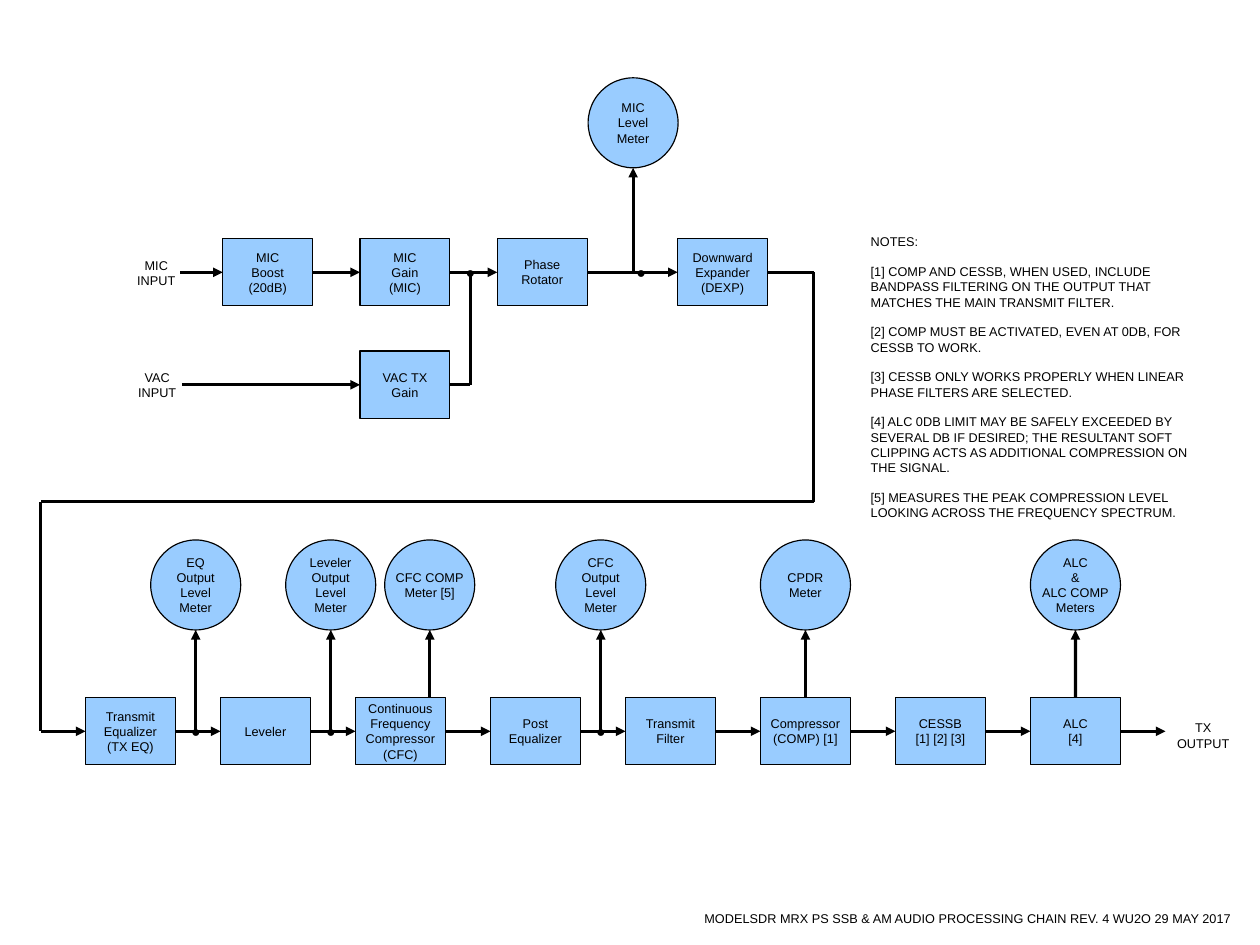
from dataclasses import dataclass
from itertools import pairwise

from lxml import etree
from pptx import Presentation
from pptx import util as u
from pptx.dml import color
from pptx.enum import shapes, text
from pptx.oxml import ns
from pptx.shapes import autoshape
from pptx.slide import Slide

BLUE = color.RGBColor(0x99, 0xCC, 0xFF)
BLACK = color.RGBColor(0x00, 0x00, 0x00)
FONT = "Arial"
BOX_WIDTH, BOX_HEIGHT, METER_SIZE = 2, 1.5, 2
MIC_TOP, VAC_TOP, CHAIN_TOP = 5.3, 7.8, 15.5
MIC_Y, VAC_Y, CHAIN_Y = (top + BOX_HEIGHT / 2 for top in (MIC_TOP, VAC_TOP, CHAIN_TOP))
CHAIN_LEFT, CHAIN_STEP = 1.9, 3
METER_TOP = 12
METER_BOTTOM = METER_TOP + METER_SIZE
MIC_METER_X, MIC_METER_TOP = 14.07, 1.73
MERGE_X = 10.45
RETURN_RIGHT, RETURN_Y, RETURN_LEFT = 18.08, 11.15, 0.9
TOP, LEFT, RIGHT = 0, 1, 3


@dataclass(frozen=True)
class Stage:
    words: str
    left: float
    top: float
    tight: bool = False


@dataclass(frozen=True)
class Meter:
    words: str
    x: float
    top: float = METER_TOP


@dataclass(frozen=True)
class Label:
    words: str
    left: float
    top: float
    width: float
    height: float


@dataclass(frozen=True)
class Point:
    x: float
    y: float


@dataclass(frozen=True)
class Joint:
    box: autoshape.Shape
    side: int


MIC_STAGES = [
    Stage("MIC\nBoost\n(20dB)", 4.95, MIC_TOP),
    Stage("MIC\nGain\n(MIC)", 8, MIC_TOP),
    Stage("Phase Rotator", 11.05, MIC_TOP),
    Stage("Downward Expander\n(DEXP)", 15.06, MIC_TOP),
]
VAC_STAGE = Stage("VAC TX\nGain", 8, VAC_TOP)
CHAIN_WORDS = [
    ("Transmit Equalizer\n(TX EQ)", False),
    ("Leveler", False),
    ("Continuous\nFrequency\nCompressor (CFC)", True),
    ("Post Equalizer", False),
    ("Transmit Filter", False),
    ("Compressor (COMP) [1]", True),
    ("CESSB\n[1] [2] [3]", False),
    ("ALC\n[4]", True),
]
TAPPED_METERS = [
    Meter("EQ\nOutput\nLevel\nMeter", 4.35),
    Meter("Leveler\nOutput\nLevel\nMeter", 7.35),
    Meter("CFC\nOutput\nLevel\nMeter", 13.35),
]
MIC_METER = Meter("MIC\nLevel\nMeter", MIC_METER_X, MIC_METER_TOP)
CFC_METER = Meter("CFC COMP\nMeter [5]", 9.55)
CPDR_METER = Meter("CPDR\nMeter", 17.9)
ALC_METER = Meter("ALC\n&\nALC COMP\nMeters", 23.9)
LABELS = [
    Label("MIC\nINPUT", 2.8, 5.61, 1.35, 0.9),
    Label("VAC\nINPUT", 2.82, 8.1, 1.35, 0.9),
    Label("TX\nOUTPUT", 25.9, 15.88, 1.68, 0.9),
    Label("MODELSDR MRX PS SSB & AM AUDIO PROCESSING CHAIN REV. 4 WU2O 29 MAY 2017",
          15.37, 20.12, 12.29, 0.56),
]
NOTES = Label("\n".join([
    "NOTES:",
    "[1] COMP AND CESSB, WHEN USED, INCLUDE BANDPASS FILTERING ON THE OUTPUT "
    "THAT MATCHES THE MAIN TRANSMIT FILTER.",
    "[2] COMP MUST BE ACTIVATED, EVEN AT 0DB, FOR CESSB TO WORK.",
    "[3] CESSB ONLY WORKS PROPERLY WHEN LINEAR PHASE FILTERS ARE SELECTED.",
    "[4] ALC 0DB LIMIT MAY BE SAFELY EXCEEDED BY SEVERAL DB IF DESIRED; THE RESULTANT "
    "SOFT CLIPPING ACTS AS ADDITIONAL COMPRESSION ON THE SIGNAL.",
    "[5] MEASURES THE PEAK COMPRESSION LEVEL LOOKING ACROSS THE FREQUENCY SPECTRUM.",
]), 19.1, 5.08, 8.13, 2.54)


def write(box: autoshape.Shape, words: str, wrap: bool, size: float = 8,
          align: text.PP_ALIGN = text.PP_ALIGN.CENTER, gap: float = 0) -> None:
    frame = box.text_frame
    frame.text = words
    frame.word_wrap = wrap
    for index, para in enumerate(frame.paragraphs):
        para.alignment = align
        para.space_before = u.Pt(gap if index else 0)
        para.font.name = FONT
        para.font.size = u.Pt(size)
        para.font.color.rgb = BLACK


def add_block(page: Slide, kind: shapes.MSO_SHAPE, left: float, top: float,
              width: float, height: float) -> autoshape.Shape:
    box = page.shapes.add_shape(kind, u.Cm(left), u.Cm(top), u.Cm(width), u.Cm(height))
    box.shadow.inherit = False
    box.fill.solid()
    box.fill.fore_color.rgb = BLUE
    box.line.color.rgb = BLACK
    box.line.width = u.Pt(0)
    box.text_frame.vertical_anchor = text.MSO_ANCHOR.MIDDLE
    return box


def add_stage(page: Slide, stage: Stage) -> autoshape.Shape:
    box = add_block(page, shapes.MSO_SHAPE.RECTANGLE, stage.left, stage.top,
                    BOX_WIDTH, BOX_HEIGHT)
    write(box, stage.words, wrap=True)
    if stage.tight:
        box.text_frame.margin_left = box.text_frame.margin_right = u.Cm(0)
    return box


def add_label(page: Slide, label: Label) -> autoshape.Shape:
    return page.shapes.add_textbox(u.Cm(label.left), u.Cm(label.top),
                                   u.Cm(label.width), u.Cm(label.height))


def add_dot(page: Slide, x: float, y: float) -> None:
    write(add_label(page, Label("●", x - 0.35, y - 0.33, 0.7, 0.64)), "●", False, 10)


def link(page: Slide, start: Point | Joint, end: Point | Joint, arrow: bool = True) -> None:
    first, last = (spot if isinstance(spot, Point) else Point(0, 0) for spot in (start, end))
    line = page.shapes.add_connector(shapes.MSO_CONNECTOR.STRAIGHT, u.Cm(first.x),
                                     u.Cm(first.y), u.Cm(last.x), u.Cm(last.y))
    if isinstance(start, Joint):
        line.begin_connect(start.box, start.side)
    if isinstance(end, Joint):
        line.end_connect(end.box, end.side)
    line.line.color.rgb = BLACK
    line.line.width = u.Pt(0)
    if arrow:
        etree.SubElement(line.line._get_or_add_ln(), ns.qn("a:tailEnd"), type="triangle")
    etree.SubElement(line._element.spPr, ns.qn("a:effectLst"))


def add_meter(page: Slide, meter: Meter, source: Point | Joint) -> None:
    circle = add_block(page, shapes.MSO_SHAPE.OVAL, meter.x - METER_SIZE / 2, meter.top,
                       METER_SIZE, METER_SIZE)
    write(circle, meter.words, wrap=False)
    link(page, source, Point(meter.x, meter.top + METER_SIZE))


def main() -> None:
    deck = Presentation()
    deck.slide_width, deck.slide_height = u.Cm(28), u.Cm(21)
    page = deck.slides.add_slide(deck.slide_layouts[6])

    boost, gain, rotator, expander = (add_stage(page, stage) for stage in MIC_STAGES)
    vac = add_stage(page, VAC_STAGE)
    chain = [add_stage(page, Stage(words, CHAIN_LEFT + CHAIN_STEP * index, CHAIN_TOP, tight))
             for index, (words, tight) in enumerate(CHAIN_WORDS)]

    for before, after in [(boost, gain), (gain, rotator), *pairwise(chain)]:
        link(page, Joint(before, RIGHT), Joint(after, LEFT))
    link(page, Point(4, MIC_Y), Joint(boost, LEFT))
    link(page, Point(4.04, VAC_Y), Joint(vac, LEFT))
    link(page, Joint(chain[-1], RIGHT), Point(25.9, CHAIN_Y))

    link(page, Joint(vac, RIGHT), Point(MERGE_X, VAC_Y), arrow=False)
    link(page, Point(MERGE_X, VAC_Y), Point(MERGE_X, MIC_Y), arrow=False)
    link(page, Joint(rotator, RIGHT), Point(MIC_METER_X, MIC_Y), arrow=False)
    link(page, Point(MIC_METER_X, MIC_Y), Joint(expander, LEFT))

    corners = [Point(RETURN_RIGHT, MIC_Y), Point(RETURN_RIGHT, RETURN_Y),
               Point(RETURN_LEFT, RETURN_Y), Point(RETURN_LEFT, CHAIN_Y)]
    for start, end in pairwise([Joint(expander, RIGHT), *corners]):
        link(page, start, end, arrow=False)
    link(page, corners[-1], Joint(chain[0], LEFT))

    for meter in TAPPED_METERS:
        add_meter(page, meter, Point(meter.x, CHAIN_Y))
        add_dot(page, meter.x, CHAIN_Y)
    add_meter(page, MIC_METER, Point(MIC_METER_X, MIC_Y))
    add_meter(page, CFC_METER, Point(CFC_METER.x, CHAIN_TOP))
    add_meter(page, CPDR_METER, Joint(chain[5], TOP))
    add_meter(page, ALC_METER, Joint(chain[7], TOP))
    add_dot(page, MERGE_X, MIC_Y)
    add_dot(page, 14.24, MIC_Y)

    for label in LABELS:
        write(add_label(page, label), label.words, wrap=False)
    write(add_label(page, NOTES), NOTES.words, wrap=True, align=text.PP_ALIGN.LEFT, gap=9.2)
    deck.save("out.pptx")


if __name__ == "__main__":
    main()
